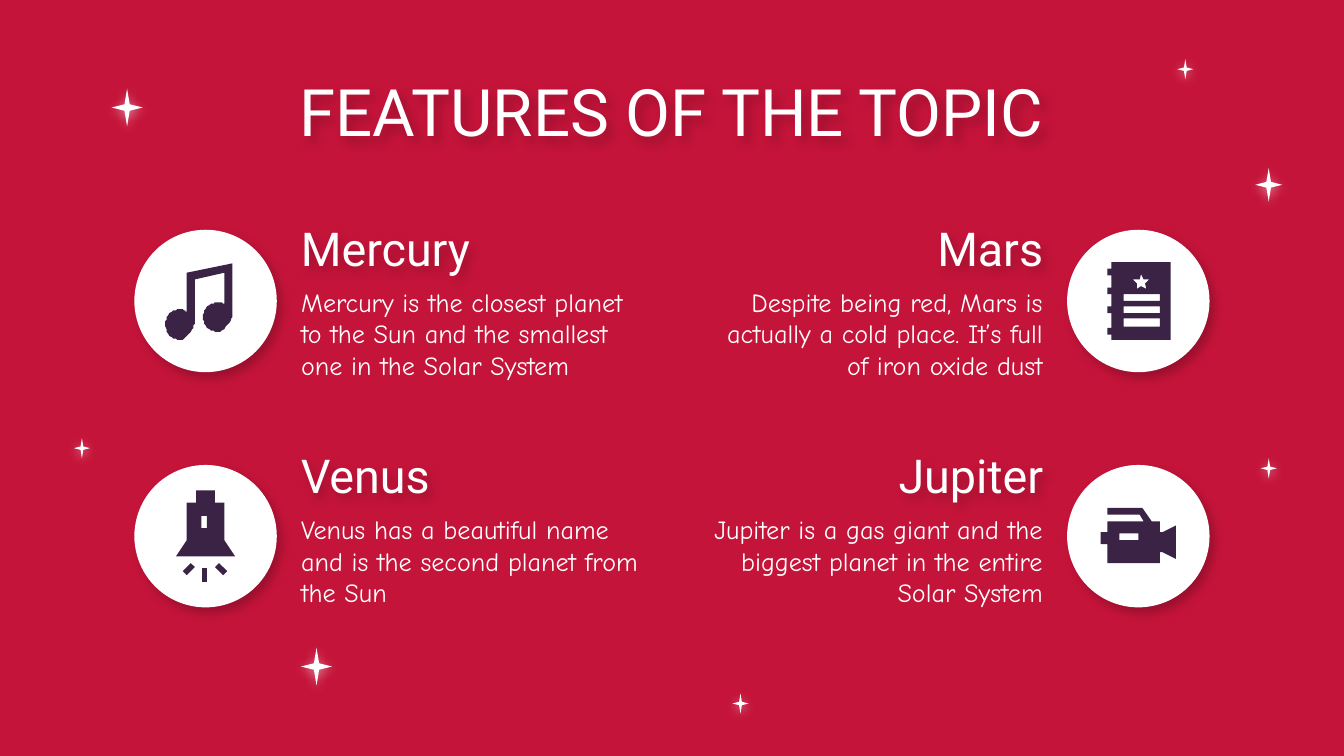
import pptx
import pptx.dml.color
import pptx.enum.shapes
import pptx.enum.text
import pptx.oxml
import pptx.oxml.ns
import pptx.util
from lxml import etree

Pt = pptx.util.Pt
ALIGN = pptx.enum.text.PP_ALIGN
SHAPE = pptx.enum.shapes.MSO_SHAPE

COLORS = {"red": "C5143A", "white": "FFFFFF", "purple": "3A2345", "black": "000000"}
GLOW = ("white", 50, 1.5, 90)
DROP = ("black", 22, 3.8, 50)
BLUR = 5.6

DISC = 76.3
ICON_UNIT = 0.72  # icons are drawn on a grid of 0.72 pt, from the corner of their disc
TEXT_WIDTH = 195.1
LEFT = {"disc": 72, "text": 154.1, "align": ALIGN.LEFT}
RIGHT = {"disc": 571.7, "text": 370.8, "align": ALIGN.RIGHT}
TOP = {"disc": 123.1, "heading": 111.6, "body": 150.5}
BOTTOM = {"disc": 249.1, "heading": 233.3, "body": 272.2}

# Sparkles: left, top, width, height
SPARKLES = [
    (59.8, 47.5, 16.6, 20.2), (39.6, 234.7, 8.6, 10.8), (161.3, 347, 16.6, 20.2),
    (675.4, 245.5, 8.6, 10.8), (630.7, 31.7, 8.6, 10.8), (672.5, 90, 14.4, 18),
    (392.4, 371.5, 8.6, 10.8),
]


def color(name):
    return pptx.dml.color.RGBColor.from_string(COLORS[name])


def add_shadow(shape, name, opacity, distance, angle):
    shape.shadow.inherit = False
    effects = shape._element.spPr.find(pptx.oxml.ns.qn("a:effectLst"))
    shadow = etree.SubElement(
        effects, pptx.oxml.ns.qn("a:outerShdw"), blurRad=str(Pt(BLUR)),
        dist=str(Pt(distance)), dir=str(angle * 60000), algn="bl", rotWithShape="0")
    value = etree.SubElement(shadow, pptx.oxml.ns.qn("a:srgbClr"), val=COLORS[name])
    etree.SubElement(value, pptx.oxml.ns.qn("a:alpha"), val=str(opacity * 1000))


def paint(shape, name):
    shape.fill.solid()
    shape.fill.fore_color.rgb = color(name)
    shape.line.fill.background()


def add_preset(slide, kind, box, shadow):
    shape = slide.shapes.add_shape(kind, *map(Pt, box))
    paint(shape, "white")
    add_shadow(shape, *shadow)
    return shape


def write(shape, text, box, size, font, align):
    shape.left, shape.top, shape.width, shape.height = map(Pt, box)
    frame = shape.text_frame
    frame.text = text
    frame.word_wrap = True
    frame.auto_size = pptx.enum.text.MSO_AUTO_SIZE.NONE
    frame.vertical_anchor = pptx.enum.text.MSO_ANCHOR.MIDDLE
    frame.margin_left = frame.margin_right = Pt(7.2)
    frame.margin_top = frame.margin_bottom = Pt(7.2)
    paragraph = frame.paragraphs[0]
    properties = paragraph._p.get_or_add_pPr()
    properties.set("marL", "0")
    properties.set("indent", "0")
    etree.SubElement(properties, pptx.oxml.ns.qn("a:buNone"))
    paragraph.alignment = align
    paragraph.space_before = Pt(0)
    run_font = paragraph.runs[0].font
    run_font.name, run_font.size, run_font.bold = font, Pt(size), False
    run_font.color.rgb = color("white")


def flatten(outline, steps=10):
    """Turn an outline with cubic curves (six numbers) into plain points."""
    points = []
    for item in outline:
        if len(item) == 2:
            points.append(item)
            continue
        x0, y0 = points[-1]
        x1, y1, x2, y2, x3, y3 = item
        for step in range(1, steps + 1):
            t = step / steps
            a, b, c, d = (1 - t) ** 3, 3 * t * (1 - t) ** 2, 3 * t * t * (1 - t), t ** 3
            points.append((a * x0 + b * x1 + c * x2 + d * x3,
                           a * y0 + b * y1 + c * y2 + d * y3))
    return points


def add_icon_part(slide, outlines, left, top):
    first, *others = [flatten(outline) for outline in outlines]
    builder = slide.shapes.build_freeform(*first[0], scale=Pt(ICON_UNIT))
    builder.add_line_segments(first[1:], close=True)
    for points in others:
        builder.move_to(*points[0])
        builder.add_line_segments(points[1:], close=True)
    shape = builder.convert_to_shape(Pt(left), Pt(top))
    paint(shape, "purple")
    shape.shadow.inherit = False


def rectangle(left, top, right, bottom):
    return [(left, top), (right, top), (right, bottom), (left, bottom)]


# Icons: each is a list of parts, each part a list of outlines
def music_icon():
    return [[[
        (73, 25), (39, 32), (39, 61), (39, 61, 36, 59, 34, 59), (28, 59, 23, 64, 23, 70),
        (23, 77, 28, 82, 34, 82), (40, 82, 45, 70, 45, 70), (45, 37), (67, 32), (67, 55),
        (67, 55, 64, 54, 62, 54), (56, 54, 51, 59, 51, 65), (51, 71, 56, 76, 62, 76),
        (68, 76, 73, 65, 73, 65)]]]


def notebook_icon():
    star = [(55, 33), (57, 37), (61, 37), (58, 40), (59, 44),
            (55, 42), (52, 44), (52, 40), (49, 37), (54, 37)]
    lines = [rectangle(42, y, 69, y + 5) for y in (48, 57, 66.5)]
    rings = [point for y in (29, 43, 57, 73)
             for point in ((33, y), (30, y), (30, y + 5), (33, y + 5))]
    cover = [(33, 24), *rings, (33, 82), (77, 82), (77, 24)]
    return [[star, *lines, cover]]


def lamp_icon():
    half = [(46, 19), (46, 28), (39, 28), (39, 56), (31, 68)]
    ray = [(63, 73), (60, 76), (66, 82), (69, 79)]
    body = half + [(106 - x, y) for x, y in reversed(half)]
    return [[rectangle(50, 38, 54, 47), body], [rectangle(50, 77, 54, 87)],
            [ray], [[(105 - x, y) for x, y in ray]]]


def camera_icon():
    body = [(30, 32), (30, 37), (54, 37), (57, 42), (30, 42), (30, 50), (25, 50),
            (25, 59), (30, 59), (30, 73), (69, 73), (69, 65), (71, 65), (81, 70),
            (81, 45), (71, 50), (69, 50), (69, 42), (63, 42), (56, 32)]
    return [[rectangle(39, 51, 53, 56), body]]


def add_feature(slide, placeholder, column, row, heading, body, icon):
    heading_box = slide.shapes.add_textbox(0, 0, 0, 0)
    write(heading_box, heading, (column["text"], row["heading"], TEXT_WIDTH, 41.8),
          25, "Roboto", column["align"])
    add_shadow(heading_box, *DROP)
    write(placeholder, body, (column["text"], row["body"], TEXT_WIDTH, 56.2),
          14, "Comic Neue", column["align"])
    add_preset(slide, SHAPE.OVAL, (column["disc"], row["disc"], DISC, DISC), DROP)
    for part in icon:
        add_icon_part(slide, part, column["disc"], row["disc"])


def main():
    presentation = pptx.Presentation()
    presentation.slide_width, presentation.slide_height = Pt(720), Pt(405)
    slide = presentation.slides.add_slide(presentation.slide_layouts.get_by_name("Comparison"))
    slide.background.fill.solid()
    slide.background.fill.fore_color.rgb = color("red")

    # Night sky
    for box in SPARKLES:
        add_preset(slide, SHAPE.STAR_4_POINT, box, GLOW).adjustments[0] = 0.12

    # Title
    title, *bodies = slide.placeholders
    write(title, "FEATURES OF THE TOPIC", (56.7, 41.8, 606.6, 34.6), 35, "Roboto", ALIGN.CENTER)
    add_shadow(title, *DROP)

    # Four features
    features = [
        (LEFT, TOP, "Mercury", "Mercury is the closest planet to the Sun and the smallest "
         "one in the Solar System", music_icon()),
        (RIGHT, TOP, "Mars", "Despite being red, Mars is actually a cold place. It’s full "
         "of iron oxide dust", notebook_icon()),
        (LEFT, BOTTOM, "Venus", "Venus has a beautiful name and is the second planet from "
         "the Sun", lamp_icon()),
        (RIGHT, BOTTOM, "Jupiter", "Jupiter is a gas giant and the biggest planet in the "
         "entire Solar System", camera_icon()),
    ]
    for placeholder, feature in zip(bodies, features):
        add_feature(slide, placeholder, *feature)

    presentation.save("out.pptx")


if __name__ == "__main__":
    main()
